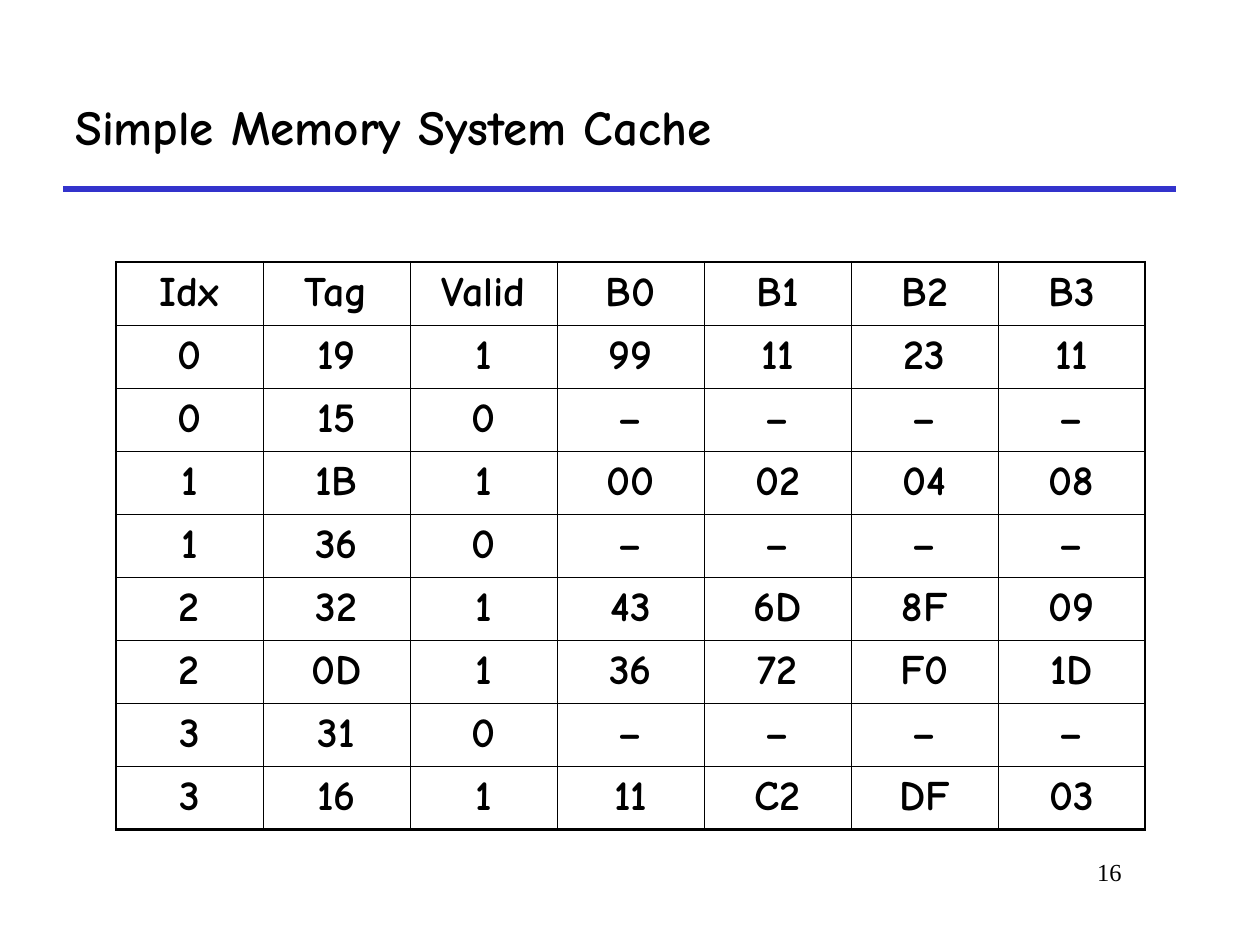
from dataclasses import dataclass

from lxml import etree
from pptx import Presentation
from pptx import util as u
from pptx.dml.color import RGBColor
from pptx.enum import shapes, text
from pptx.oxml import ns

# Content
TITLE = "Simple Memory System Cache"
PAGE_NUMBER = "16"
HEADINGS = ["Idx", "Tag", "Valid", "B0", "B1", "B2", "B3"]
CACHE_LINES = [
    ["0", "19", "1", "99", "11", "23", "11"],
    ["0", "15", "0", "–", "–", "–", "–"],
    ["1", "1B", "1", "00", "02", "04", "08"],
    ["1", "36", "0", "–", "–", "–", "–"],
    ["2", "32", "1", "43", "6D", "8F", "09"],
    ["2", "0D", "1", "36", "72", "F0", "1D"],
    ["3", "31", "0", "–", "–", "–", "–"],
    ["3", "16", "1", "11", "C2", "DF", "03"],
]


@dataclass(frozen=True)
class Theme:
    ink: str = "000000"
    accent: str = "3333CC"
    body_font: str = "Comic Neue"
    number_font: str = "Times New Roman"
    title_size: int = 28
    cell_size: int = 24
    number_size: int = 14
    rule_width: float = 3
    outer_border: float = 1.47
    inner_border: float = 0.45


THEME = Theme()

# Layout, in inches
SLIDE_W, SLIDE_H = 10, 7.5
MARGIN, CONTENT_W = 0.5, 8.83
TITLE_TOP, TITLE_H = 0.5, 1
TABLE_LEFT, TABLE_TOP, TABLE_W, TABLE_H = 0.92, 2.08, 8.17, 4.48
NUMBER_BOX = (7.58, 6.75, 1.42, 0.5)


def write(frame, words, font, size, bold, align):
    frame.text = words
    paragraph = frame.paragraphs[0]
    paragraph.alignment = align
    for run in paragraph.runs:
        run.font.name = font
        run.font.size = u.Pt(size)
        run.font.bold = bold
        run.font.color.rgb = RGBColor.from_string(THEME.ink)


def add_label(slide, box, anchor, *style):
    frame = slide.shapes.add_textbox(*map(u.Inches, box)).text_frame
    frame.word_wrap = True
    frame.vertical_anchor = anchor
    write(frame, *style)


def add_borders(cell, on_edge):
    properties = cell._tc.get_or_add_tcPr()
    for side in ("L", "R", "T", "B"):
        width = THEME.outer_border if on_edge[side] else THEME.inner_border
        border = etree.SubElement(properties, ns.qn(f"a:ln{side}"), w=str(u.Pt(width)))
        fill = etree.SubElement(border, ns.qn("a:solidFill"))
        etree.SubElement(fill, ns.qn("a:srgbClr"), val=THEME.ink)


def add_cache_table(slide):
    lines = [HEADINGS] + CACHE_LINES
    last_row, last_col = len(lines) - 1, len(HEADINGS) - 1
    area = map(u.Inches, (TABLE_LEFT, TABLE_TOP, TABLE_W, TABLE_H))
    table = slide.shapes.add_table(len(lines), len(HEADINGS), *area).table
    table.first_row = table.horz_banding = False
    for column in table.columns:
        column.width = u.Inches(TABLE_W / len(HEADINGS))
    for row in table.rows:
        row.height = u.Inches(TABLE_H / len(lines))
    for r, line in enumerate(lines):
        for c, value in enumerate(line):
            cell = table.cell(r, c)
            write(cell.text_frame, value, THEME.body_font, THEME.cell_size,
                  True, text.PP_ALIGN.CENTER)
            add_borders(cell, {"L": c == 0, "R": c == last_col,
                               "T": r == 0, "B": r == last_row})
            cell.fill.background()


def main():
    deck = Presentation()
    deck.slide_width, deck.slide_height = u.Inches(SLIDE_W), u.Inches(SLIDE_H)
    slide = deck.slides.add_slide(deck.slide_layouts[6])

    # Rule under the title
    rule_y = u.Inches(TITLE_TOP + TITLE_H)
    rule = slide.shapes.add_connector(
        shapes.MSO_CONNECTOR.STRAIGHT, u.Inches(MARGIN), rule_y,
        u.Inches(MARGIN + CONTENT_W), rule_y)
    rule.line.color.rgb = RGBColor.from_string(THEME.accent)
    rule.line.width = u.Pt(THEME.rule_width)
    etree.SubElement(rule._element.spPr, ns.qn("a:effectLst"))

    # Page number and title
    add_label(slide, NUMBER_BOX, text.MSO_ANCHOR.TOP, PAGE_NUMBER,
              THEME.number_font, THEME.number_size, False, text.PP_ALIGN.RIGHT)
    add_label(slide, (MARGIN, TITLE_TOP, CONTENT_W, TITLE_H),
              text.MSO_ANCHOR.MIDDLE, TITLE, THEME.body_font,
              THEME.title_size, True, text.PP_ALIGN.LEFT)

    # Cache contents
    add_cache_table(slide)
    deck.save("out.pptx")


if __name__ == "__main__":
    main()
